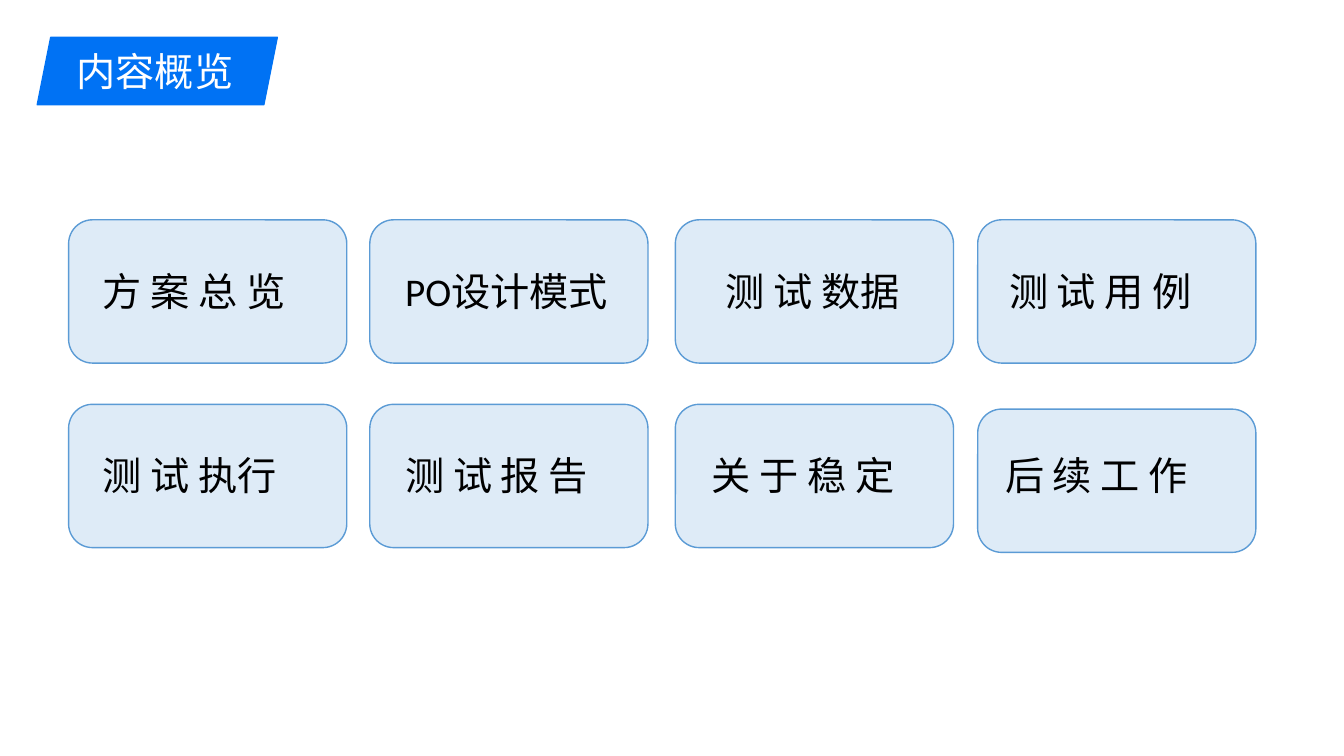
from pptx import Presentation
from pptx.dml.color import RGBColor
from pptx.enum.shapes import MSO_SHAPE as Preset
from pptx.enum.text import MSO_ANCHOR as Anchor, MSO_AUTO_SIZE as AutoSize, PP_ALIGN as Align
from pptx.util import Cm, Pt

BLUE = RGBColor(0x00, 0x72, 0xF4)
PALE_BLUE = RGBColor(0xDE, 0xEB, 0xF7)
EDGE_BLUE = RGBColor(0x5B, 0x9B, 0xD5)
WHITE = RGBColor(0xFF, 0xFF, 0xFF)
BLACK = RGBColor(0x00, 0x00, 0x00)

COLUMN_LEFTS = (1.73, 9.32, 17.02, 24.64)
CARD_WIDTH, CARD_HEIGHT = 7.01, 3.61
ROW_TOP, ROW_STEP = 5.54, 4.65
LABEL_TOP, LABEL_HEIGHT = 1.19, 1.19
LAST_CARD_DROP = 0.12
# Each topic: label, indent inside its card, label width
TOPICS = (
    (("方 案 总 览", 0.86, 5.61), ("PO设计模式", 0.89, 5.61),
     ("测 试 数据", 1.27, 4.88), ("测 试 用 例", 0.79, 6.27)),
    (("测 试 执行", 0.86, 5.61), ("测 试 报 告", 0.89, 5.61),
     ("关 于 稳 定", 0.91, 5.61), ("后 续 工 作", 0.69, 5.61)),
)


def paint(shape, fill, line):
    """Give a shape a flat fill and a thin outline."""
    shape.shadow.inherit = False
    shape.fill.solid()
    shape.fill.fore_color.rgb = fill
    shape.line.color.rgb = line
    shape.line.width = Pt(1)


def write(shape, text, color, left_margin=0, margin=0):
    """Set one left-aligned line of text at the top of a shape."""
    frame = shape.text_frame
    frame.text = text
    frame.word_wrap = True
    frame.auto_size = AutoSize.SHAPE_TO_FIT_TEXT
    frame.vertical_anchor = Anchor.TOP
    frame.margin_left = Cm(left_margin)
    frame.margin_top = frame.margin_right = frame.margin_bottom = Cm(margin)
    paragraph = frame.paragraphs[0]
    paragraph.alignment = Align.LEFT
    paragraph.line_spacing = 1.0
    paragraph.space_before = Pt(0)
    font = paragraph.runs[0].font
    font.name = "Calibri"
    font.size = Pt(28)
    font.color.rgb = color


def add_heading(slide, left, top, width, height):
    """Draw the slanted ribbon and lay the slide title on it."""
    slant = 0.34
    builder = slide.shapes.build_freeform(Cm(left), Cm(top + height), scale=1.0)
    builder.add_line_segments([
        (Cm(left + slant), Cm(top)),
        (Cm(left + width), Cm(top)),
        (Cm(left + width - slant), Cm(top + height)),
    ])
    ribbon = builder.convert_to_shape()
    paint(ribbon, BLUE, BLUE)

    title = slide.shapes.title
    title.left, title.top = Cm(left + 0.41), Cm(top + 0.13)
    title.width, title.height = Cm(4.7), Cm(1.45)
    write(title, "内容概览", WHITE, left_margin=0.58, margin=0.13)
    ribbon.element.addnext(title.element)


def add_card(slide, left, top, label_top, topic):
    """Draw one rounded card with its label."""
    text, indent, label_width = topic
    card = slide.shapes.add_shape(
        Preset.ROUNDED_RECTANGLE, Cm(left), Cm(top), Cm(CARD_WIDTH), Cm(CARD_HEIGHT))
    paint(card, PALE_BLUE, EDGE_BLUE)
    label = slide.shapes.add_textbox(
        Cm(left + indent), Cm(label_top), Cm(label_width), Cm(LABEL_HEIGHT))
    write(label, text, BLACK)


def add_topic_grid(slide, top):
    """Place the topic cards in rows, the last card a little lower."""
    for row, topics in enumerate(TOPICS):
        row_top = top + row * ROW_STEP
        for left, topic in zip(COLUMN_LEFTS, topics):
            drop = LAST_CARD_DROP if topic is TOPICS[-1][-1] else 0
            add_card(slide, left, row_top + drop, row_top + LABEL_TOP, topic)


def main():
    """Build the overview slide and save it."""
    presentation = Presentation()
    presentation.slide_width, presentation.slide_height = Cm(33.87), Cm(19.05)
    slide = presentation.slides.add_slide(presentation.slide_layouts.get_by_name("Title Only"))
    add_heading(slide, 0.94, 0.94, 6.05, 1.7)
    add_topic_grid(slide, ROW_TOP)
    presentation.save("out.pptx")


if __name__ == "__main__":
    main()
